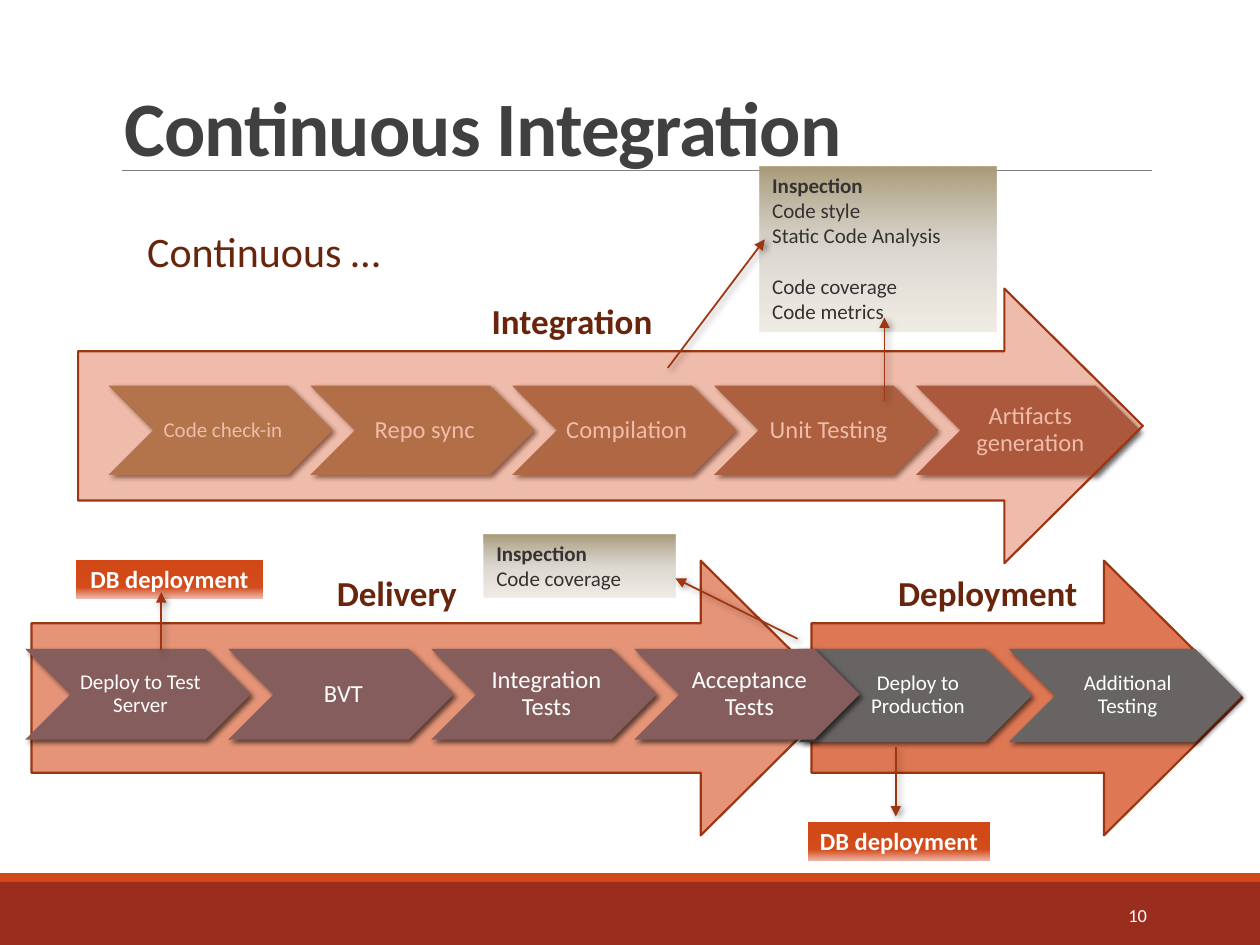
import pptx
import pptx.util
import pptx.dml.color
import pptx.enum.shapes
import pptx.enum.text
import pptx.oxml
import pptx.oxml.ns

Inches = pptx.util.Inches
Pt = pptx.util.Pt
SHAPE = pptx.enum.shapes.MSO_SHAPE
ALIGN = pptx.enum.text.PP_ALIGN
ANCHOR = pptx.enum.text.MSO_ANCHOR
qn = pptx.oxml.ns.qn

COLORS = {
    "white": "FFFFFF", "footer": "9B2D1F", "orange": "D34817", "rule": "808080",
    "title": "404040", "brown": "69240C", "note": "353232", "outline": "9C3511",
    "pointer": "9E3611", "deliver": "855D5D", "deploy": "696464",
}
BUILD_FILLS = ["A28E6A", "A08462", "9D795C", "996E56", "956251"]
NOTE_STOPS = [(0, "AA9B78", 100), (50, "B9B1A3", 50), (100, "DCD3C1", 41)]
DB_STOPS = [(0, "D34817", 100), (68, "D34817", 97), (100, "F4CEC9", 93)]


def rgb(name):
    return pptx.dml.color.RGBColor.from_string(COLORS.get(name, name))


def xml(body):
    return pptx.oxml.parse_xml(body.replace(">", f" {pptx.oxml.ns.nsdecls('a')}>", 1))


def color_xml(value, alpha):
    return f'<a:srgbClr val="{value}"><a:alpha val="{alpha * 1000}"/></a:srgbClr>'


def add_effects(sp, alpha=None, blur=3):
    shadow = ""
    if alpha:
        shadow = (f'<a:outerShdw blurRad="{Pt(blur)}" dist="{Pt(2)}" dir="2700000" '
                  f'rotWithShape="0">{color_xml("000000", alpha)}</a:outerShdw>')
    for old in sp._element.spPr.findall(qn("a:effectLst")):
        sp._element.spPr.remove(old)
    sp._element.spPr.append(xml(f"<a:effectLst>{shadow}</a:effectLst>"))


def write(sp, paragraphs, size=12, color="white", bold=False, align=ALIGN.LEFT,
          anchor=ANCHOR.TOP, spacing=None, insets=(0.1, 0.05, 0.1, 0.05),
          bold_first=False, gaps=(), tracking=None):
    tf = sp.text_frame
    tf.word_wrap = True
    tf.vertical_anchor = anchor
    tf.margin_left, tf.margin_top, tf.margin_right, tf.margin_bottom = map(Inches, insets)
    for i, text in enumerate(paragraphs):
        p = tf.paragraphs[0] if i == 0 else tf.add_paragraph()
        p.alignment = align
        if spacing:
            p.line_spacing = spacing
        if i in gaps:
            p.space_before = Pt(size * 1.22)
        r = p.add_run()
        r.text = text
        r.font.name = "Calibri"
        r.font.size = Pt(size)
        r.font.bold = bold or (bold_first and i == 0)
        r.font.color.rgb = rgb(color)
        if tracking:
            r._r.get_or_add_rPr().set("spc", str(int(tracking * 100)))


class Deck:
    def __init__(self):
        self.prs = pptx.Presentation()
        self.prs.slide_width, self.prs.slide_height = Inches(10), Inches(7.5)
        self.s = self.prs.slides.add_slide(self.prs.slide_layouts[6])
        fill = self.s.background.fill
        fill.solid()
        fill.fore_color.rgb = rgb("white")

    def shape(self, kind, x, y, w, h, fill, line=None, width=1):
        sp = self.s.shapes.add_shape(kind, *map(Inches, (x, y, w, h)))
        sp.shadow.inherit = False
        sp.fill.solid()
        sp.fill.fore_color.rgb = rgb(fill)
        if line:
            sp.line.color.rgb = rgb(line)
            sp.line.width = Pt(width)
        else:
            sp.line.fill.background()
        return sp

    def text(self, x, y, w, h, text, **fmt):
        sp = self.s.shapes.add_textbox(*map(Inches, (x, y, w, h)))
        write(sp, [text], **fmt)

    def gradient_box(self, x, y, w, h, stops, paragraphs, line=None, **fmt):
        sp = self.shape(SHAPE.RECTANGLE, x, y, w, h, "white", line, 2)
        gs = "".join(f'<a:gs pos="{pos * 1000}">{color_xml(value, alpha)}</a:gs>'
                     for pos, value, alpha in stops)
        solid = sp._element.spPr.find(qn("a:solidFill"))
        solid.getparent().replace(solid, xml(
            f'<a:gradFill rotWithShape="1"><a:gsLst>{gs}</a:gsLst>'
            '<a:lin ang="5400000" scaled="0"/></a:gradFill>'))
        write(sp, paragraphs, **fmt)

    def note(self, x, y, w, h, paragraphs, gaps=()):
        self.gradient_box(x, y, w, h, NOTE_STOPS, paragraphs, color="note",
                          bold_first=True, gaps=gaps)

    def db_box(self, x, y, w):
        self.gradient_box(x, y, w, 0.34, DB_STOPS, ["DB deployment"], "white",
                          size=14, bold=True, align=ALIGN.CENTER)

    def phase_arrow(self, x, y, w, alpha, label, center):
        sp = self.shape(SHAPE.RIGHT_ARROW, x, y, w, 2.18, "orange", "outline", 1.25)
        sp.adjustments[0], sp.adjustments[1] = 0.544, 0.504
        clr = sp._element.spPr.find(qn("a:solidFill"))[0]
        clr.append(xml(f'<a:alpha val="{alpha * 1000}"></a:alpha>'))
        self.text(center - 1, y + 0.05, 2, 0.4, label, size=20, color="brown", bold=True,
                  align=ALIGN.CENTER, anchor=ANCHOR.MIDDLE)

    def chevrons(self, x, y, w, h, steps, fills):
        for i, ((text, size), fill) in enumerate(zip(steps, fills)):
            sp = self.shape(SHAPE.CHEVRON, x + i * 0.9 * w, y, w, h, fill)
            add_effects(sp, 60)
            write(sp, [text], size=size, align=ALIGN.CENTER, anchor=ANCHOR.MIDDLE,
                  spacing=0.9, insets=(0.06, 0.02, 0.02, 0.02))

    def line(self, x1, y1, x2, y2, color, width):
        c = self.s.shapes.add_connector(pptx.enum.shapes.MSO_CONNECTOR.STRAIGHT,
                                        *map(Inches, (x1, y1, x2, y2)))
        c.line.color.rgb = rgb(color)
        c.line.width = Pt(width)
        add_effects(c)
        return c

    def pointer(self, x1, y1, x2, y2):
        c = self.line(x1, y1, x2, y2, "pointer", 1)
        c.line._get_or_add_ln().append(xml('<a:tailEnd type="triangle"></a:tailEnd>'))
        add_effects(c, 40, 4)


deck = Deck()
deck.shape(SHAPE.RECTANGLE, 0, 7, 10, 0.5, "footer")
deck.shape(SHAPE.RECTANGLE, 0, 6.93, 10, 0.07, "orange")
deck.line(0.97, 1.35, 9.14, 1.35, "rule", 0.5)

deck.chevrons(0.86, 3.06, 1.78, 0.71,
              [("Code check-in", 12), ("Repo sync", 14), ("Compilation", 14),
               ("Unit Testing", 14), ("Artifacts generation", 14)], BUILD_FILLS)
deck.db_box(6.4, 6.51, 1.47)
deck.db_box(0.59, 4.43, 1.51)

deck.phase_arrow(6.44, 4.45, 3.42, 74, "Deployment", 7.84)
deck.chevrons(6.34, 5.15, 1.85, 0.74,
              [("Deploy to Production", 12), ("Additional Testing", 12)], ["deploy"] * 2)
deck.phase_arrow(0.25, 4.45, 6.41, 58, "Delivery", 3.15)
deck.chevrons(0.2, 5.15, 1.79, 0.72,
              [("Deploy to Test Server", 12), ("BVT", 14), ("Integration Tests", 14),
               ("Acceptance Tests", 14)], ["deliver"] * 4)
deck.phase_arrow(0.62, 2.29, 8.45, 36, "Integration", 4.54)

deck.text(0.89, 0.45, 8.25, 0.97, "Continuous Integration", size=44, color="title",
          bold=True, anchor=ANCHOR.BOTTOM, spacing=0.85, tracking=-0.5)
deck.text(8.12, 7.06, 1.08, 0.4, "10", size=10.5, align=ALIGN.RIGHT, anchor=ANCHOR.MIDDLE)
deck.text(1.07, 1.74, 7.86, 0.5, "Continuous …", size=24, color="brown")

deck.note(6.03, 1.32, 1.88, 1.31,
          ["Inspection", "Code style", "Static Code Analysis", "Code coverage", "Code metrics"],
          gaps=(3,))
deck.note(3.84, 4.24, 1.52, 0.5, ["Inspection", "Code coverage"])
for ends in [(1.28, 5.16, 1.28, 4.7), (6.33, 5.07, 5.36, 4.59), (7.11, 5.93, 7.11, 6.48),
             (5.3, 2.92, 6.07, 1.9), (7.02, 3.18, 7.02, 2.52)]:
    deck.pointer(*ends)

deck.prs.save("out.pptx")
